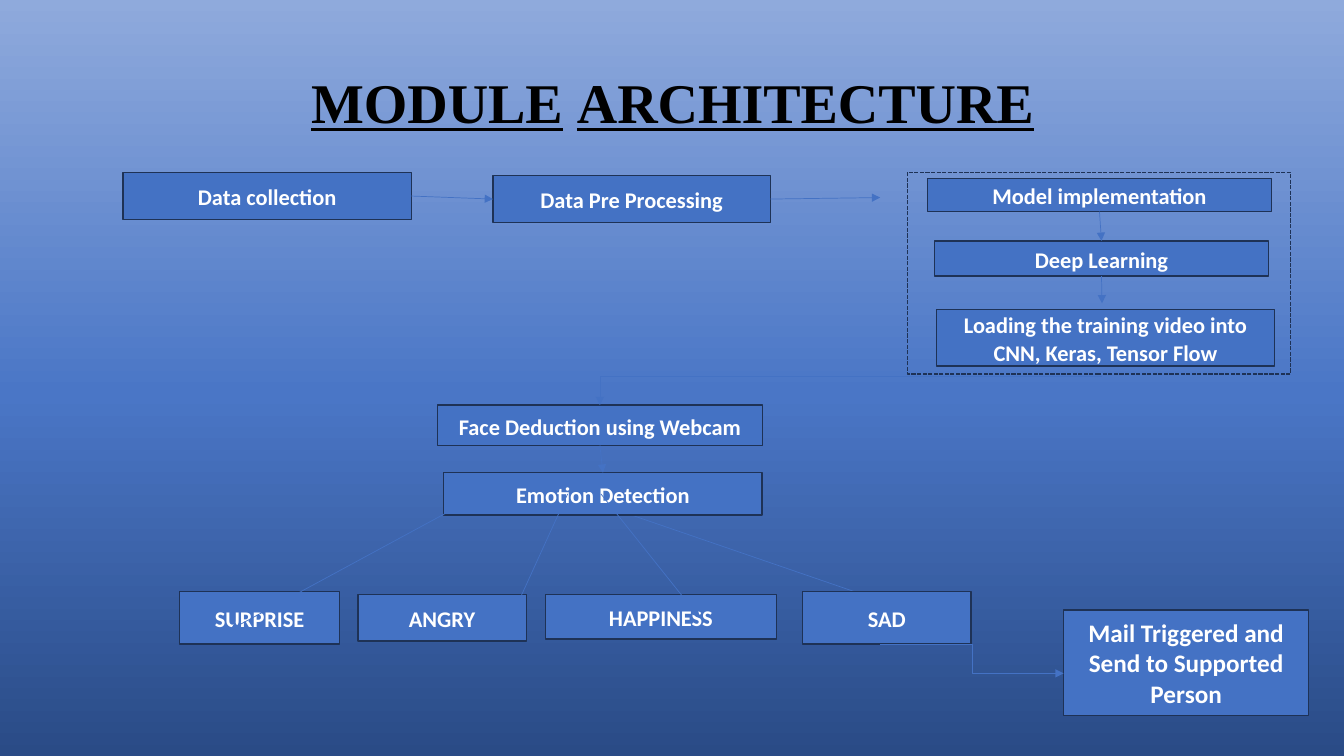
"""Build the module architecture slide."""
from copy import deepcopy

from lxml import etree
from pptx import Presentation
from pptx.dml.color import RGBColor
from pptx.enum.dml import MSO_LINE
from pptx.enum.shapes import MSO_CONNECTOR, MSO_SHAPE
from pptx.enum.text import MSO_ANCHOR, PP_ALIGN
from pptx.oxml.ns import qn
from pptx.util import Pt

PX = 9144
RECT = MSO_SHAPE.RECTANGLE
LINE = MSO_CONNECTOR.STRAIGHT
BENT = MSO_CONNECTOR.ELBOW
DASH = MSO_LINE.SQUARE_DOT
MID = MSO_ANCHOR.MIDDLE
MAIN = PP_ALIGN.CENTER
TOP, LEFT, LOW, RIGHT = range(4)
HUE = {
    "deep": "2A4B86", "core": "4A76C6", "pale": "8FAADC",
    "fill": "4472C4", "edge": "1E3256", "ink": "000000", "white": "FFFFFF",
}
RGB = {name: RGBColor.from_string(code) for name, code in HUE.items()}


def write(frame, *runs, size=16, font="Calibri", hue="white", lead=1.06, gap=8, under=False):
    frame.word_wrap = True
    frame.vertical_anchor = MID
    para = frame.paragraphs[0]
    para.alignment = MAIN
    para.line_spacing = lead
    para.space_after = Pt(gap)
    for text in runs:
        run = para.add_run()
        run.text = text
        run.font.name = font
        run.font.size = Pt(size)
        run.font.bold = True
        run.font.underline = under and bool(text.strip())
        run.font.color.rgb = RGB[hue]


def link(kind, *ends):
    line = slide.shapes.add_connector(kind, *(n * PX for n in ends))
    line.line.color.rgb = RGB["fill"]
    line.line.width = Pt(0.5)
    tail = etree.SubElement(line.line._get_or_add_ln(), qn("a:tailEnd"))
    tail.set("type", "triangle")
    etree.SubElement(line._element.spPr, qn("a:effectLst"))
    return line


deck = Presentation()
deck.slide_width = 1333 * PX
deck.slide_height = 750 * PX
slide = deck.slides.add_slide(deck.slide_layouts[5])

back = slide.background.fill
back.gradient()
back.gradient_angle = 90
stops = slide._element.find(".//" + qn("a:gsLst"))
stops.append(deepcopy(stops[0]))
for stop, name, place in zip(back.gradient_stops, ("deep", "core", "pale"), (0, 0.48, 1)):
    stop.color.rgb = RGB[name]
    stop.position = place

title = slide.shapes.title
title.left, title.top, title.width, title.height = (n * PX for n in (92, 32, 1150, 145))
write(title.text_frame, "MODULE", " ", "ARCHITECTURE", size=40,
      font="Times New Roman", hue="ink", lead=0.9, gap=0, under=True)

link(LINE, 609, 505, 900, 605)

BIG = {"size": 18, "lead": 1, "gap": 0}
STEPS = {
    "data": ("Data collection", 122, 171, 286, 47, {}),
    "prep": ("Data Pre Processing", 489, 174, 275, 47, {}),
    "frame": ("", 900, 171, 380, 200, {}),
    "model": ("Model implementation", 920, 177, 341, 33, {}),
    "deep": ("Deep Learning", 927, 239, 331, 35, {}),
    "load": ("Loading the training video into CNN, Keras, Tensor Flow", 929, 307, 335, 56, {}),
    "face": ("Face Deduction using Webcam", 434, 402, 322, 40, {}),
    "mood": ("Emotion Detection", 440, 469, 316, 42, {}),
    "angry": ("ANGRY", 355, 590, 167, 46, {}),
    "happy": ("HAPPINESS", 541, 590, 229, 44, {}),
    "sad": ("SAD", 796, 587, 167, 52, {}),
    "shock": ("SURPRISE", 178, 587, 159, 52, {}),
    "mail": ("Mail Triggered and Send to Supported Person", 1055, 605, 243, 105, BIG),
}
boxes = {}
for name, (text, *area, style) in STEPS.items():
    box = boxes[name] = slide.shapes.add_shape(RECT, *(n * PX for n in area))
    box.shadow.inherit = False
    box.line.color.rgb = RGB["edge"]
    box.line.width = Pt(1)
    if text:
        box.fill.solid()
        box.fill.fore_color.rgb = RGB["fill"]
        write(box.text_frame, text, **style)
    else:
        box.fill.background()
        box.line.dash_style = DASH

JOINS = [
    ("data", RIGHT, "prep", LEFT),
    ("model", LOW, "deep", TOP),
    ("face", LOW, "mood", TOP),
]
for start, out, end, into in JOINS:
    line = link(LINE, 0, 0, 0, 0)
    line.begin_connect(boxes[start], out)
    line.end_connect(boxes[end], into)

for start, out, x, y in [("prep", RIGHT, 873, 196), ("deep", LOW, 1093, 301)]:
    link(LINE, x, y, x, y).begin_connect(boxes[start], out)

for ends in [(459, 500, 228, 625), (563, 490, 507, 613), (596, 490, 694, 613)]:
    link(LINE, *ends)

turn = link(BENT, 1093, 373, 595, 402)
turn._element.spPr.find(qn("a:prstGeom")).set("prst", "bentConnector2")
link(BENT, 873, 639, 1055, 668)

deck.save("out.pptx")
